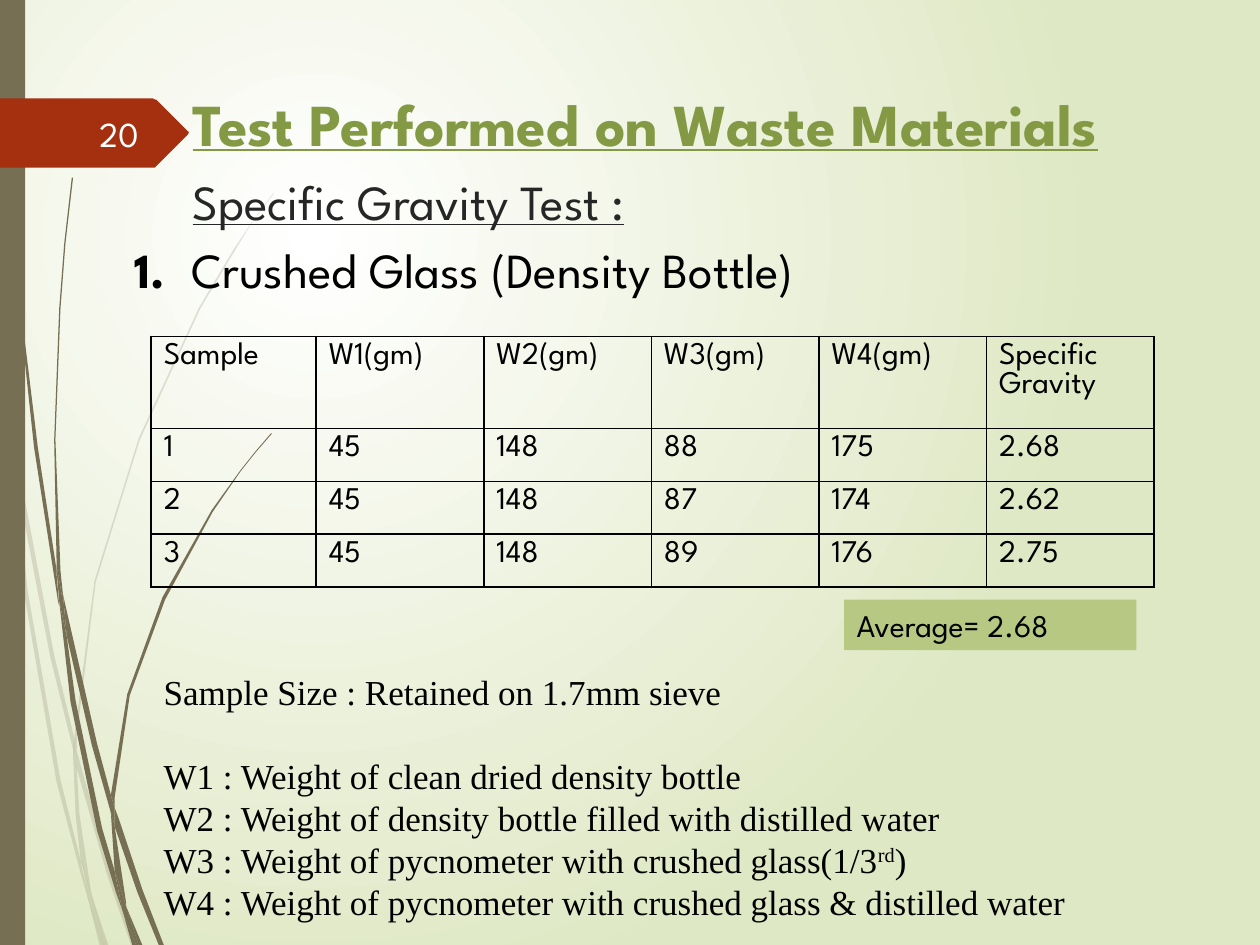
from lxml import etree
from pptx import Presentation
from pptx.dml.color import RGBColor
from pptx.enum.shapes import MSO_SHAPE
from pptx.enum.text import MSO_ANCHOR, PP_ALIGN
from pptx.oxml.ns import qn
from pptx.util import Inches, Pt

RECTANGLE = MSO_SHAPE.RECTANGLE
TOP, MIDDLE, BOTTOM = MSO_ANCHOR.TOP, MSO_ANCHOR.MIDDLE, MSO_ANCHOR.BOTTOM
LEFT, RIGHT = PP_ALIGN.LEFT, PP_ALIGN.RIGHT


class Theme:
    sans, serif = "League Spartan", "Times New Roman"
    title, heading, body, cell = Pt(34), Pt(28), Pt(20), Pt(18)
    black, dark, white = "000000", "262626", "FEFFFF"
    stem, tag, olive, leaf = "766F54", "A53010", "839943", "B6C882"
    glow, edge = "FFFFFF", "DFE8C4"


deck = Presentation()
deck.slide_width, deck.slide_height = Inches(10), Inches(7.5)
page = deck.slides.add_slide(deck.slide_layouts[6])
CELL = deck.slide_width // 1000  # the page is a grid of 1000 columns by 750 rows


def style(font, size, color, name=Theme.sans, bold=None, underline=None):
    font.size, font.name, font.bold, font.underline = size, name, bold, underline
    font.color.rgb = RGBColor.from_string(color)


def add_block(left, top, width, height, anchor, fill=None):
    """Add a text box, or a filled rectangle when a fill is given, in grid cells."""
    place = [side * CELL for side in (left, top, width, height)]
    if fill:
        block = page.shapes.add_shape(RECTANGLE, *place)
        block.shadow.inherit = False
        block.fill.solid()
        block.fill.fore_color.rgb = RGBColor.from_string(fill)
        block.line.fill.background()
    else:
        block = page.shapes.add_textbox(*place)
    block.text_frame.word_wrap = True
    block.text_frame.vertical_anchor = anchor
    return block.text_frame


# Background: a round glow in the upper left
backdrop = page.background.fill
backdrop.gradient()
for stop, color in zip(backdrop.gradient_stops, (Theme.glow, Theme.edge)):
    stop.color.rgb = RGBColor.from_string(color)
gradient = page.element.find(".//" + qn("a:gradFill"))
gradient.remove(gradient.find(qn("a:lin")))
glow_path = etree.SubElement(gradient, qn("a:path"), path="circle")
etree.SubElement(glow_path, qn("a:fillToRect"), l="50000", t="50000", r="100000", b="100000")

# Grass blades and page tag: outline points as column,row
PALE_BLADES = [
    "8,350 6,322 0,282 0,299 7,344",
    "40,522 59,599 59,586 43,520 10,345 12,376",
    "64,607 61,596 61,610 85,694 104,750 108,750 88,692",
    "83,750 86,750 73,711",
    "64,683 48,619 22,469 12,376 8,350 19,470 45,621 64,693 70,714 69,707",
    "58,599 60,646 64,683 67,692 73,711 72,706 63,646 61,610 61,608",
    "61,584 76,462 111,349 159,245 187,198 201,175 217,154 217,153 201,175 186,197 "
    "158,244 110,348 75,461 59,584 59,586 61,596",
    "70,714 79,750 82,750",
    "61,608 61,610 61,596 59,586 58,599",
    "67,692 65,683 69,707 70,714 82,750 83,750 73,711",
]
DARK_BLADES = [
    "5,110 14,233 27,355 46,477 47,481 45,457 45,453 30,355 15,232 6,109 4,48 3,0 2,0 3,48",
    "73,592 88,645 88,633 88,631 77,590 50,472 53,505",
    "94,649 91,641 91,656 109,708 126,750 130,750 113,706",
    "91,691 81,657 60,556 53,505 47,477 56,557 77,659 92,708 97,722 96,717",
    "50,472 48,453 44,349 48,245 52,193 58,141 57,141 51,193 47,245 43,349 45,449 49,472",
    "110,750 113,750 100,719",
    "47,477 53,505 50,472 49,472 45,449 45,453",
    "91,633 103,552 131,476 169,406 191,374 203,359 216,344 215,344 203,358 191,373 "
    "168,405 129,474 101,551 88,631 91,641",
    "97,722 105,750 108,750",
    "88,645 91,691 96,706 100,719 100,716 91,656 90,651",
    "88,645 90,651 91,656 91,641 88,631 88,633",
    "96,706 91,691 96,717 97,722 108,750 110,750 100,719",
]
PAGE_TAG = ["149,107 124,132 123,133 121,133 0,133 0,78 121,78 123,79 124,79 149,104 150,105"]

for outlines, color, opacity in (
    (PALE_BLADES, Theme.stem, 20),
    (DARK_BLADES, Theme.stem, 100),
    (PAGE_TAG, Theme.tag, 100),
):
    if outlines is PAGE_TAG:
        add_block(0, 0, 20, 750, MIDDLE, Theme.stem)
    for outline in outlines:
        points = [tuple(map(int, pair.split(","))) for pair in outline.split()]
        builder = page.shapes.build_freeform(*points[0], scale=CELL)
        builder.add_line_segments(points[1:], close=True)
        blade = builder.convert_to_shape()
        blade.shadow.inherit = False
        blade.fill.solid()
        blade.fill.fore_color.rgb = RGBColor.from_string(color)
        blade.line.fill.background()
        if opacity < 100:
            tint = blade.element.spPr.find(".//" + qn("a:srgbClr"))
            etree.SubElement(tint, qn("a:alpha"), val=str(opacity * 1000))

# Title
title = add_block(143, 63, 857, 126, MIDDLE)
para = title.paragraphs[0]
para.text = "Test Performed on Waste Materials"
style(para.font, Theme.title, Theme.olive, bold=True, underline=True)
para = title.add_paragraph()
para.text = "Specific Gravity Test :"
para.space_before = Pt(8)
style(para.font, Theme.heading, Theme.dark, underline=True)

# Results table
RESULTS = [
    ["Sample", "W1(gm)", "W2(gm)", "W3(gm)", "W4(gm)", "Specific Gravity"],
    ["1", "45", "148", "88", "175", "2.68"],
    ["2", "45", "148", "87", "174", "2.62"],
    ["3", "45", "148", "89", "176", "2.75"],
]
table = page.shapes.add_table(4, 6, 120 * CELL, 267 * CELL, 798 * CELL, 199 * CELL).table
table.first_row = table.horz_banding = False
for index, column in enumerate(table.columns):
    column.width = (133 if index else 131) * CELL
for index, row in enumerate(table.rows):
    row.height = (42 if index else 73) * CELL
    for cell, value in zip(row.cells, RESULTS[index]):
        cell.text = value
        style(cell.text_frame.paragraphs[0].font, Theme.cell, Theme.black)
        properties = cell._tc.get_or_add_tcPr()
        for side in ("a:lnL", "a:lnR", "a:lnT", "a:lnB"):
            border = etree.SubElement(properties, qn(side), w=str(int(Pt(1))))
            paint = etree.SubElement(border, qn("a:solidFill"))
            etree.SubElement(paint, qn("a:srgbClr"), val=Theme.black)
        cell.fill.background()

# Page number
para = add_block(56, 86, 64, 40, MIDDLE).paragraphs[0]
para.text = "20"
para.alignment = RIGHT
style(para.font, Theme.body, Theme.white)

# Sample size and weight key
LEGEND = [
    "Sample Size : Retained on 1.7mm sieve",
    "W1 : Weight of clean dried density bottle",
    "W2 : Weight of density bottle filled with distilled water",
    "W3 : Weight of pycnometer with crushed glass(1/3^rd^)",
    "W4 : Weight of pycnometer with crushed glass & distilled water",
]
legend = add_block(120, 527, 819, 242, TOP)
for index, line in enumerate(LEGEND):
    para = legend.add_paragraph() if index else legend.paragraphs[0]
    for position, part in enumerate(line.split("^")):
        span = para.add_run()
        span.text = part
        if position == 1:  # the part between carets is raised
            span._r.get_or_add_rPr().set("baseline", "30000")
    para.line_spacing = Pt(24)
    if index == 1:
        para.space_before = Pt(24)
    style(para.font, Theme.body, Theme.black, Theme.serif)

# Average
para = add_block(670, 476, 232, 40, MIDDLE, Theme.leaf).paragraphs[0]
para.text = "Average= 2.68"
para.alignment = LEFT
style(para.font, Theme.cell, Theme.black)

# Numbered heading with a hanging number
para = add_block(97, 185, 789, 57, BOTTOM).paragraphs[0]
indent = 45 * CELL
heading_properties = para._p.get_or_add_pPr()
heading_properties.set("marL", str(indent))
heading_properties.set("indent", str(-indent))
for text, bold in (("1.", True), ("\tCrushed Glass (Density Bottle)", False)):
    span = para.add_run()
    span.text = text
    span.font.bold = bold
style(para.font, Theme.heading, Theme.black)

deck.save("out.pptx")
